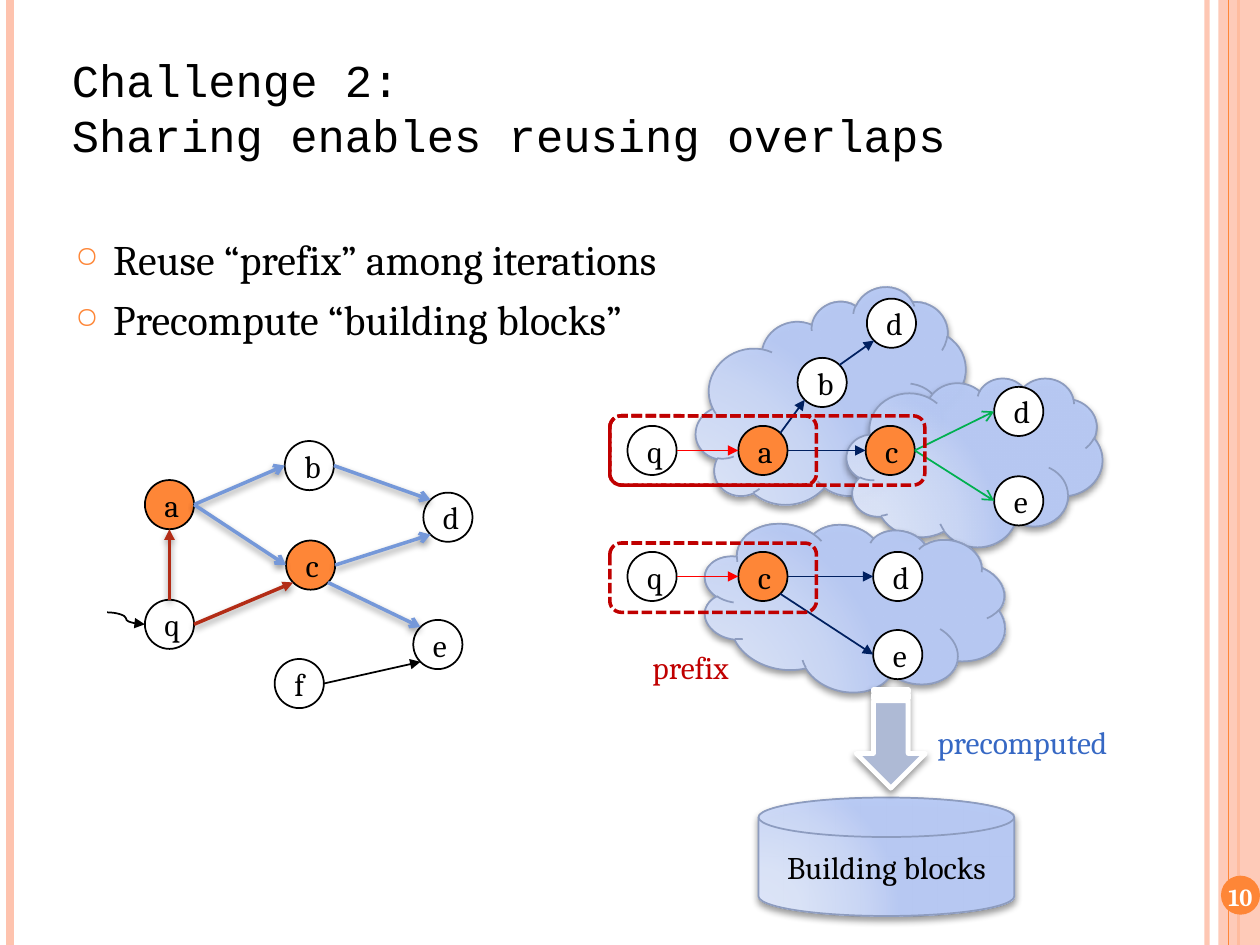
import math
from dataclasses import dataclass

import pptx
import pptx.util
from lxml import etree
from pptx.dml.color import RGBColor
from pptx.enum.dml import MSO_LINE
from pptx.enum.shapes import MSO_CONNECTOR, MSO_SHAPE
from pptx.enum.text import MSO_ANCHOR, MSO_AUTO_SIZE, PP_ALIGN
from pptx.oxml.ns import qn
from pptx.util import Inches


@dataclass(frozen=True)
class Theme:
    black: str = "000000"
    white: str = "FFFFFF"
    orange: str = "FE8637"
    peach: str = "FEC3AE"
    navy: str = "002060"
    red: str = "FF0000"
    dark_red: str = "C00000"
    brick: str = "B32C16"
    blue: str = "7598D9"
    label_blue: str = "3668C4"
    green: str = "00B050"
    arrow: str = "AEBAD5"
    outline: str = "8D9CBF"
    gradient: tuple = ((0, "DEE6FA"), (30, "DBE4F9"), (75, "CAD7F7"), (100, "B8CAF5"))
    font: str = "Cambria"
    title_font: str = "Courier New"
    title: int = 26
    body: int = 24
    label: int = 18
    number: int = 14


T = Theme()
NODE = 0.39
SIDES = {d: math.radians(45 * i) for i, d in
         enumerate(["e", "se", "s", "sw", "w", "nw", "n", "ne"])}

# Each graph: nodes as name: (left, top, highlighted)
LEFT = {"a": (1.15, 3.81, True), "c": (2.27, 4.29, True), "d": (3.36, 3.91, False),
        "f": (2.18, 5.23, False), "e": (3.28, 4.92, False), "b": (2.26, 3.5, False),
        "q": (1.15, 4.76, False)}
UPPER = {"q": (4.98, 3.38, False), "a": (5.86, 3.38, True), "c": (6.87, 3.38, True),
         "b": (6.33, 2.84, False), "d": (6.88, 2.37, False), "d2": (7.89, 3.07, False),
         "e": (7.89, 3.78, False)}
LOWER = {"q": (4.98, 4.38, False), "c": (5.86, 4.38, True), "d": (6.93, 4.38, False),
         "e": (6.93, 5, False)}

# Edges: from, side, to, side, colour, head
LEFT_EDGES = [("a", "e", "b", "w", T.blue, "arrow"), ("a", "e", "c", "w", T.blue, "arrow"),
              ("b", "e", "d", "nw", T.blue, "arrow"), ("c", "e", "d", "sw", T.blue, "arrow"),
              ("c", "se", "e", "nw", T.blue, "arrow"), ("q", "e", "c", "sw", T.brick, "triangle"),
              ("q", "n", "a", "s", T.brick, "triangle")]
UPPER_EDGES = [("q", "e", "a", "w", T.red, "triangle"), ("a", "e", "c", "w", T.navy, "triangle"),
               ("a", "ne", "b", "sw", T.navy, "triangle"), ("b", "ne", "d", "sw", T.navy, "triangle"),
               ("c", "e", "d2", "w", T.green, "arrow"), ("c", "e", "e", "w", T.green, "arrow")]
LOWER_EDGES = [("q", "e", "c", "w", T.red, "triangle"), ("c", "e", "d", "w", T.navy, "triangle"),
               ("c", "se", "e", "w", T.navy, "triangle")]


def apply(obj, **fmt):
    for name, value in fmt.items():
        setattr(obj, name, value)


def sub(parent, tag, **attrs):
    return etree.SubElement(parent, qn(tag), {k: str(v) for k, v in attrs.items()})


def color(parent, rgb, alpha):
    sub(sub(parent, "a:srgbClr", val=rgb), "a:alpha", val=alpha * 1000)


def set_effect(s, shadow):
    """Give a shape or connector a soft drop shadow, or none at all."""
    effects = sub(s._element.spPr, "a:effectLst")
    if shadow:
        color(sub(effects, "a:outerShdw", blurRad=50800, dist=25400, dir=5400000,
                  rotWithShape=0), T.black, 40)


def set_alpha(fill_element, alpha):
    sub(fill_element.find(".//" + qn("a:srgbClr")), "a:alpha", val=alpha * 1000)


def set_gradient(s):
    s.fill.background()
    spPr = s._element.spPr
    grad = etree.Element(qn("a:gradFill"), rotWithShape="1")
    stops = sub(grad, "a:gsLst")
    for pos, rgb in T.gradient:
        color(sub(stops, "a:gs", pos=pos * 1000), rgb, 97)
    sub(sub(grad, "a:path", path="circle"), "a:fillToRect",
        l=5000, t=100000, r=120000, b=10000)
    spPr.replace(spPr.find(qn("a:noFill")), grad)


def write(p, text, size=T.label, rgb=T.black, font=T.font, bold=False):
    r = p.add_run()
    r.text = text
    apply(r.font, name=font, size=pptx.util.Pt(size), bold=bold)
    r.font.color.rgb = RGBColor.from_string(rgb)


def add_shape(slide, kind, box, fill=None, line=None, width=1, rotation=0, shadow=False, text=None):
    s = slide.shapes.add_shape(kind, *map(Inches, box))
    s.rotation = rotation
    if fill == "gradient":
        set_gradient(s)
    elif fill:
        s.fill.solid()
        s.fill.fore_color.rgb = RGBColor.from_string(fill)
    else:
        s.fill.background()
    if line:
        s.line.color.rgb = RGBColor.from_string(line)
        s.line.width = pptx.util.Pt(width)
    else:
        s.line.fill.background()
    set_effect(s, shadow)
    if text:
        s.text_frame.vertical_anchor = MSO_ANCHOR.MIDDLE
        p = s.text_frame.paragraphs[0]
        p.alignment = PP_ALIGN.CENTER
        write(p, text)
    return s


def add_line(slide, start, end, rgb, width=1, tail=None, shadow=False, alpha=None,
             kind=MSO_CONNECTOR.STRAIGHT):
    s = slide.shapes.add_connector(kind, *map(Inches, (*start, *end)))
    s.line.color.rgb = RGBColor.from_string(rgb)
    s.line.width = pptx.util.Pt(width)
    ln = s.line._get_or_add_ln()
    if alpha:
        set_alpha(ln, alpha)
    if tail:
        sub(ln, "a:tailEnd", type=tail)
    set_effect(s, shadow)


def add_text(slide, box, text, wrap=True, **fmt):
    tf = slide.shapes.add_textbox(*map(Inches, box)).text_frame
    tf.word_wrap = wrap
    write(tf.paragraphs[0], text, **fmt)
    return tf


def rim(node, side):
    """Point on a node's circle in a compass direction."""
    r, angle = NODE / 2, SIDES[side]
    return node[0] + r + r * math.cos(angle), node[1] + r + r * math.sin(angle)


def add_nodes(slide, nodes):
    for name, (x, y, highlighted) in nodes.items():
        add_shape(slide, MSO_SHAPE.OVAL, (x, y, NODE, NODE),
                  T.orange if highlighted else T.white, T.black, text=name[0])


def add_edges(slide, nodes, edges, **fmt):
    for a, side_a, b, side_b, rgb, tail in edges:
        add_line(slide, rim(nodes[a], side_a), rim(nodes[b], side_b), rgb, tail=tail, **fmt)


def add_rails(slide):
    for x, rgb, width, alpha in [(9.58, T.peach, 3, 93), (0.08, T.peach, 4.5, None),
                                 (9.83, T.orange, 1.5, None)]:
        add_line(slide, (x, 0), (x, 7.5), rgb, width, alpha=alpha)
    s = add_shape(slide, MSO_SHAPE.RECTANGLE, (9.67, 0, 0.33, 7.5), T.peach)
    set_alpha(s._element.spPr.find(qn("a:solidFill")), 87)
    add_line(slide, (9.75, 0), (9.75, 7.5), T.orange, 0.75)
    add_shape(slide, MSO_SHAPE.OVAL, (9.69, 6.95, 0.31, 0.31), T.orange)
    tf = add_text(slide, (9.61, 6.88, 0.47, 0.47), "10", size=T.number, rgb=T.white, bold=True)
    tf.vertical_anchor = MSO_ANCHOR.MIDDLE
    tf.paragraphs[0].alignment = PP_ALIGN.CENTER


def add_title(slide, text):
    s = slide.shapes.title
    apply(s, left=Inches(0.47), top=Inches(0.36), width=Inches(9.02), height=Inches(0.98))
    tf = s.text_frame
    apply(tf, vertical_anchor=MSO_ANCHOR.TOP, word_wrap=True, auto_size=MSO_AUTO_SIZE.NONE)
    p = tf.paragraphs[0]
    apply(p, alignment=PP_ALIGN.LEFT, line_spacing=pptx.util.Pt(31.5))
    first, second = text
    write(p, first, T.title, font=T.title_font)
    p.add_line_break()
    write(p, second, T.title, font=T.title_font)


def add_bullets(slide, box, items):
    tf = slide.shapes.add_textbox(*map(Inches, box)).text_frame
    tf.word_wrap = True
    for i, text in enumerate(items):
        p = tf.add_paragraph() if i else tf.paragraphs[0]
        p.space_before = pptx.util.Pt(6)
        pPr = p._p.get_or_add_pPr()
        pPr.set("marL", str(Inches(0.3)))
        pPr.set("indent", str(Inches(-0.3)))
        sub(sub(pPr, "a:buClr"), "a:srgbClr", val=T.orange)
        sub(pPr, "a:buSzPct", val=70000)
        sub(pPr, "a:buChar", char="○")
        write(p, text, T.body)


def main():
    prs = pptx.Presentation()
    apply(prs, slide_width=Inches(10), slide_height=Inches(7.5))
    slide = prs.slides.add_slide(prs.slide_layouts[5])
    add_rails(slide)
    add_title(slide, ("Challenge 2:", "Sharing enables reusing overlaps"))

    # Clouds behind the building blocks
    block = dict(fill="gradient", line=T.outline, shadow=True)
    for box, rotation in [((5.49, 2.44, 2.22, 1.52), 341.9), ((6.72, 3, 2.03, 1.34), 0),
                          ((5.57, 4.15, 2.42, 1.34), 10.8)]:
        add_shape(slide, MSO_SHAPE.CLOUD, box, rotation=rotation, **block)
    add_bullets(slide, (0.5, 1.8, 8.17, 0.95),
                ["Reuse “prefix” among iterations", "Precompute “building blocks”"])

    # Full graph, with its traversed edges emphasised
    add_nodes(slide, LEFT)
    add_edges(slide, LEFT, [("f", "e", "e", "sw", T.black, "triangle")])
    add_line(slide, (0.85, 4.86), rim(LEFT["q"], "w"), T.black, tail="triangle",
             kind=MSO_CONNECTOR.CURVE)
    add_edges(slide, LEFT, LEFT_EDGES, width=2, shadow=True)

    # Two iterations
    for nodes, edges in [(UPPER, UPPER_EDGES), (LOWER, LOWER_EDGES)]:
        add_nodes(slide, nodes)
        add_edges(slide, nodes, edges)

    # Shared prefixes
    for y, width in [(3.3, 1.64), (4.31, 1.64), (3.3, 2.5)]:
        s = add_shape(slide, MSO_SHAPE.ROUNDED_RECTANGLE, (4.84, y, width, 0.55),
                      line=T.dark_red, width=2)
        s.line.dash_style = MSO_LINE.SQUARE_DOT
    add_text(slide, (5.08, 5.09, 0.88, 0.4), "prefix", wrap=False, rgb=T.dark_red)

    # Store of precomputed blocks
    add_shape(slide, MSO_SHAPE.FLOWCHART_MAGNETIC_DISK, (6.02, 6.33, 2.03, 0.94),
              text="Building blocks", **block)
    add_shape(slide, MSO_SHAPE.STRIPED_RIGHT_ARROW, (6.68, 5.59, 0.78, 0.55), T.arrow,
              T.white, 2.75, rotation=90, shadow=True)
    add_text(slide, (7.34, 5.69, 2.11, 0.4), "precomputed", rgb=T.label_blue)
    prs.save("out.pptx")


if __name__ == "__main__":
    main()
